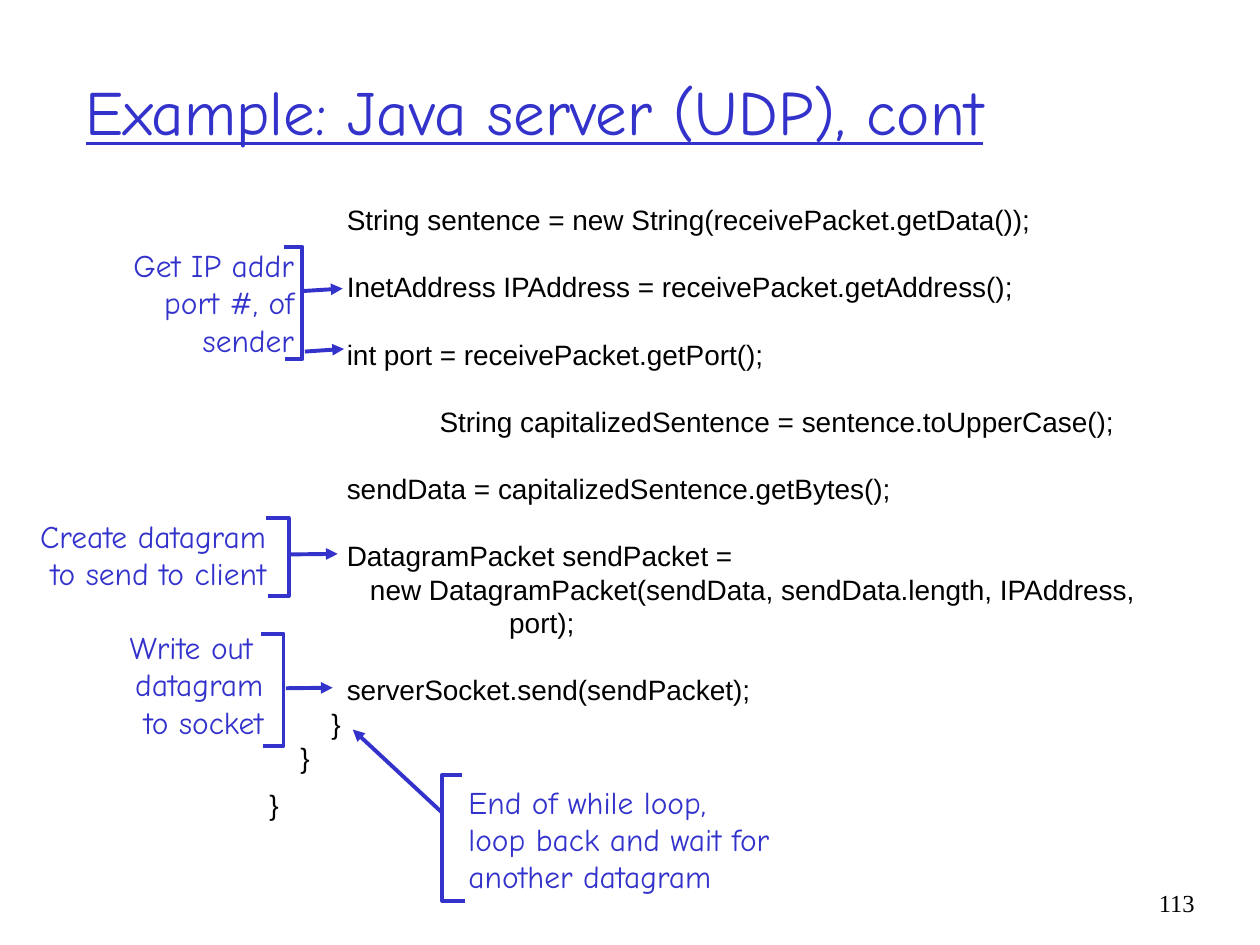
from dataclasses import dataclass

import lxml.etree
import pptx
import pptx.dml.color
import pptx.enum.shapes
import pptx.enum.text
import pptx.oxml.ns
import pptx.shapes.autoshape
import pptx.slide
import pptx.util

"""Build the slide that walks through the second half of a Java UDP server."""

Pt = pptx.util.Pt
ALIGN = pptx.enum.text.PP_ALIGN
ANCHOR = pptx.enum.text.MSO_ANCHOR


@dataclass(frozen=True)
class Style:
    font: str
    size: float
    color: pptx.dml.color.RGBColor
    leading: float | None = None
    underline: bool = False


@dataclass(frozen=True)
class Theme:
    blue = pptx.dml.color.RGBColor(0x33, 0x33, 0xCC)
    black = pptx.dml.color.RGBColor(0, 0, 0)
    line_width = 2.25
    title = Style("Comic Neue", 36, blue, underline=True)
    note = Style("Comic Neue", 18, blue, leading=21.4)
    code = Style("Arial", 16, black, leading=19.2)
    number = Style("Times New Roman", 14, black)


@dataclass(frozen=True)
class Box:
    left: float
    top: float
    width: float
    height: float


@dataclass(frozen=True)
class Line:
    text: str
    gap: float = 0


@dataclass(frozen=True)
class Bracket:
    spine: float
    top: float
    bottom: float
    top_tip: float
    bottom_tip: float


@dataclass(frozen=True)
class Arrow:
    start: tuple[float, float]
    end: tuple[float, float]


@dataclass(frozen=True)
class Note:
    box: Box
    lines: tuple[str, ...]
    bracket: Bracket
    arrows: tuple[Arrow, ...]
    align: ALIGN = ALIGN.RIGHT
    wraps: bool = True


THEME = Theme()
BLANK_LINE = THEME.code.leading

CODE = [
    Line("          String sentence = new String(receivePacket.getData());"),
    Line("          InetAddress IPAddress = receivePacket.getAddress();", BLANK_LINE),
    Line("          int port = receivePacket.getPort();", BLANK_LINE),
    Line("                      String capitalizedSentence = sentence.toUpperCase();", BLANK_LINE),
    Line("          sendData = capitalizedSentence.getBytes();", BLANK_LINE),
    Line("          DatagramPacket sendPacket =", BLANK_LINE),
    Line("             new DatagramPacket(sendData, sendData.length, IPAddress,"),
    Line("                               port);"),
    Line("          serverSocket.send(sendPacket);", BLANK_LINE),
    Line("        }"),
    Line("    }"),
    Line("}", 8.2),
]

NOTES = [
    Note(
        Box(10, 136.8, 165, 72),
        ("Get IP addr", "port #, of", "sender"),
        Bracket(172.8, 141.1, 205.2, 162, 162.7),
        (Arrow((173.5, 166.3), (195.8, 164.9)), Arrow((174.2, 200.9), (196.6, 199.4))),
    ),
    Note(
        Box(14.4, 291.6, 144.7, 50.4),
        ("Create datagram", "to send to client"),
        Bracket(164.9, 295.9, 340.6, 151.9, 153.4),
        (Arrow((166.3, 316.8), (193, 316.5)),),
    ),
    Note(
        Box(66.2, 355, 91.4, 72),
        ("Write out ", "datagram", "to socket"),
        Bracket(162, 362.2, 426.2, 149, 150.5),
        (Arrow((163.4, 393.3), (190.1, 393)),),
        wraps=False,
    ),
    Note(
        Box(260.6, 443.5, 187.2, 72),
        ("End of while loop,", "loop back and wait for", "another datagram"),
        Bracket(252.7, 442.8, 514.8, 264.2, 265.7),
        (Arrow((252.7, 464.4), (201.6, 416.9)),),
        align=ALIGN.LEFT,
        wraps=False,
    ),
]


def add_text(
    slide: pptx.slide.Slide,
    box: Box,
    lines: list[Line],
    style: Style,
    align: ALIGN = ALIGN.LEFT,
    anchor: ANCHOR = ANCHOR.MIDDLE,
    wraps: bool = True,
) -> None:
    """Add a text box with one paragraph per line."""
    holder = slide.shapes.add_textbox(Pt(box.left), Pt(box.top), Pt(box.width), Pt(box.height))
    frame = holder.text_frame
    frame.word_wrap = wraps
    frame.vertical_anchor = anchor
    for index, line in enumerate(lines):
        paragraph = frame.add_paragraph() if index else frame.paragraphs[0]
        paragraph.text = line.text
        paragraph.alignment = align
        if style.leading:
            paragraph.line_spacing = Pt(style.leading)
        if line.gap:
            paragraph.space_before = Pt(line.gap)
        paragraph.font.name = style.font
        paragraph.font.size = Pt(style.size)
        paragraph.font.color.rgb = style.color
        if style.underline:
            paragraph.font.underline = True


def add_bracket(slide: pptx.slide.Slide, bracket: Bracket) -> None:
    """Draw an open square bracket."""
    builder = slide.shapes.build_freeform(Pt(bracket.top_tip), Pt(bracket.top))
    corners = [
        (bracket.spine, bracket.top),
        (bracket.spine, bracket.bottom),
        (bracket.bottom_tip, bracket.bottom),
    ]
    builder.add_line_segments([(Pt(x), Pt(y)) for x, y in corners], close=False)
    outline = builder.convert_to_shape()
    outline.shadow.inherit = False
    outline.fill.background()
    outline.line.color.rgb = THEME.blue
    outline.line.width = Pt(THEME.line_width)


def add_arrow(slide: pptx.slide.Slide, arrow: Arrow) -> None:
    """Draw a straight line with an arrowhead at its end."""
    straight = pptx.enum.shapes.MSO_CONNECTOR.STRAIGHT
    pointer = slide.shapes.add_connector(straight, *map(Pt, arrow.start + arrow.end))
    pointer.line.color.rgb = THEME.blue
    pointer.line.width = Pt(THEME.line_width)
    qn = pptx.oxml.ns.qn
    lxml.etree.SubElement(pointer.line._get_or_add_ln(), qn("a:tailEnd"), type="triangle")
    lxml.etree.SubElement(pointer._element.spPr, qn("a:effectLst"))


def main() -> None:
    """Build and save the slide."""
    deck = pptx.Presentation()
    deck.slide_width, deck.slide_height = Pt(720), Pt(540)
    slide = deck.slides.add_slide(deck.slide_layouts[6])
    title = [Line("Example: Java server (UDP), cont")]
    add_text(slide, Box(41.8, 18, 612, 90), title, THEME.title)
    add_text(slide, Box(146.9, 92.9, 514.8, 380.1), CODE, THEME.code, anchor=ANCHOR.BOTTOM)
    for note in NOTES:
        lines = [Line(text) for text in note.lines]
        add_text(slide, note.box, lines, THEME.note, note.align, wraps=note.wraps)
        add_bracket(slide, note.bracket)
        for arrow in note.arrows:
            add_arrow(slide, arrow)
    add_text(slide, Box(653.8, 504, 36, 36), [Line("113")], THEME.number, ALIGN.RIGHT, ANCHOR.TOP)
    deck.save("out.pptx")


if __name__ == "__main__":
    main()
